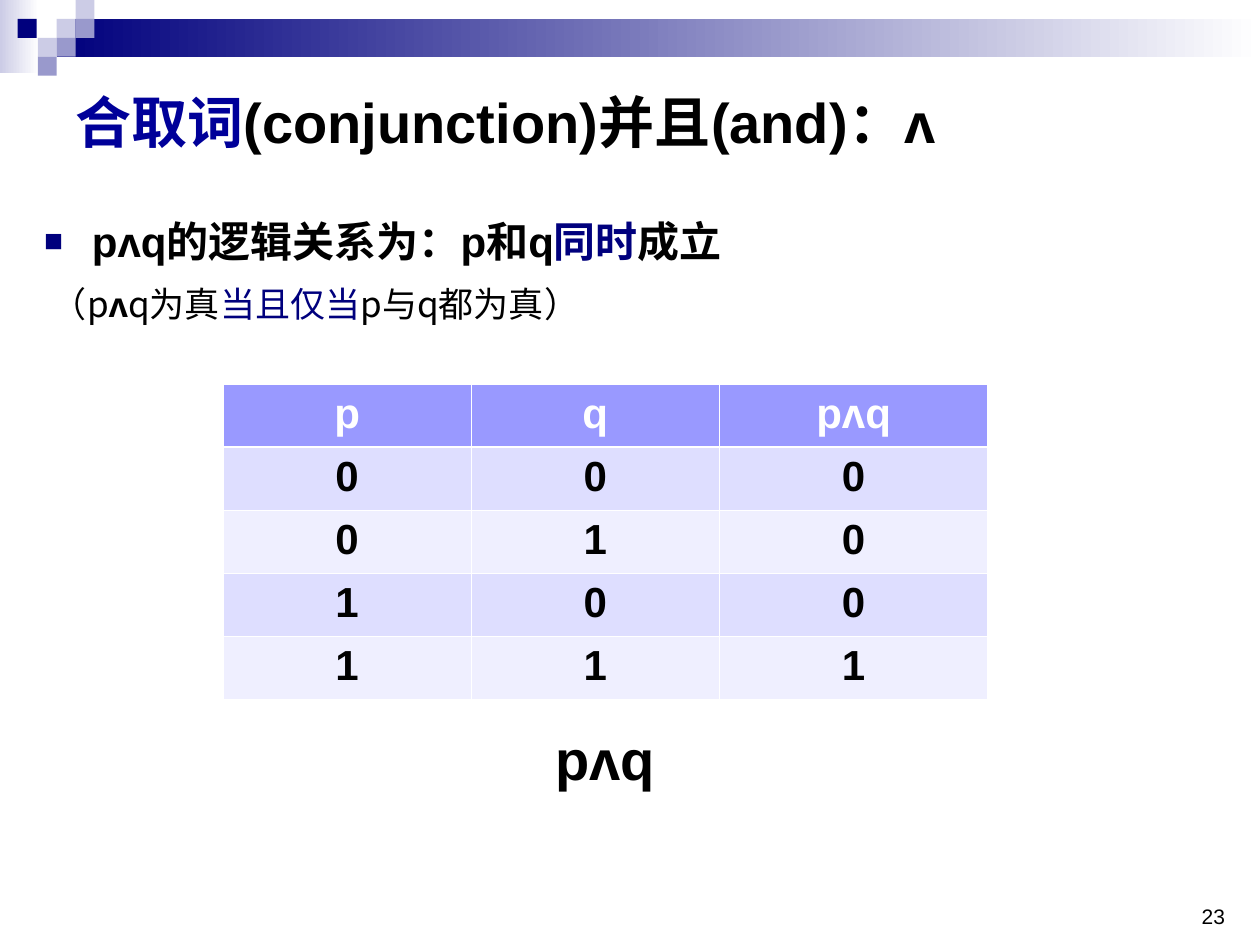
from lxml.etree import SubElement
from pptx import Presentation
from pptx.dml.color import RGBColor
from pptx.enum.shapes import MSO_SHAPE
from pptx.enum.text import MSO_ANCHOR, MSO_AUTO_SIZE, PP_ALIGN
from pptx.oxml.ns import qn
from pptx.util import Inches, Pt

COLORS = {
    "navy": "00007D", "blue": "000099", "black": "000000", "white": "FFFFFF",
    "pale": "CCCCE6", "mid": "9999CC",
    "head": "9999FF", "odd": "DEDEFF", "even": "EFEFFF",
}
LATIN, CJK = "Arial", "Noto Sans CJK SC"
TITLE = [("合取词", "blue"), ("(conjunction)并且(and)：ʌ", "black")]
RELATION = [("pʌq的逻辑关系为：p和q", "black"), ("同时", "navy"), ("成立", "black")]
CONDITION = [
    (" （p", "black", CJK), ("ʌ", "black", LATIN), ("q为真", "black", CJK),
    ("当且仅当", "navy", CJK), ("p与q都为真）", "black", CJK),
]
TRUTH = [("p", "q", "pʌq"), "000", "010", "100", "111"]
COLUMN_WIDTHS = [1.97, 1.97, 2.13]
ROW_HEIGHT = 0.5
BANDS = [
    ((0, 0, 0.31, 0.58), ("pale", "white")),
    ((0.45, 0.15, 9.55, 0.3), ("navy", "white")),
]
TILE = 0.15
TILES = [
    (0.45, 0.15, "pale"), (0.6, 0, "pale"), (0.6, 0.15, "mid"), (0.3, 0.3, "pale"),
    (0.14, 0.15, "navy"), (0.45, 0.3, "mid"), (0.3, 0.45, "mid"),
]
FRAME = {
    "auto_size": MSO_AUTO_SIZE.NONE, "word_wrap": True,
    "margin_left": Inches(0.1), "margin_right": Inches(0.1),
    "margin_top": Inches(0.05), "margin_bottom": Inches(0.05),
}


def rgb(color):
    return RGBColor.from_string(COLORS[color])


def apply(target, formats):
    for name, value in formats.items():
        setattr(target, name, value)


def place(shape, left, top, width, height):
    apply(shape, {"left": Inches(left), "top": Inches(top),
                  "width": Inches(width), "height": Inches(height)})


def write(paragraph, words, size, bold=True, align=PP_ALIGN.LEFT):
    paragraph.alignment = align
    for text, color, *face in words:
        run = paragraph.add_run()
        run.text = text
        font = face[0] if face else LATIN
        apply(run.font, {"size": Pt(size), "name": font,
                         "bold": bold and font == LATIN})
        run.font.color.rgb = rgb(color)
        SubElement(run.font._element, qn("a:ea"), typeface=CJK)


def set_list_style(paragraph, bulleted):
    properties = paragraph._p.get_or_add_pPr()
    properties.set("marL", str(Inches(0.38)))
    properties.set("indent", str(-Inches(0.38)))
    if not bulleted:
        SubElement(properties, qn("a:buNone"))
        return
    tint = SubElement(properties, qn("a:buClr"))
    SubElement(tint, qn("a:srgbClr"), val=COLORS["navy"])
    SubElement(properties, qn("a:buSzPct"), val="75000")
    SubElement(properties, qn("a:buFont"), typeface=LATIN)
    SubElement(properties, qn("a:buChar"), char="■")


def add_box(slide, shape_kind, area):
    box = slide.shapes.add_shape(shape_kind, *map(Inches, area))
    box.shadow.inherit = False
    box.line.fill.background()
    return box


def add_header(slide):
    for area, ends in BANDS:
        band = add_box(slide, MSO_SHAPE.RECTANGLE, area)
        band.fill.gradient()
        band.fill.gradient_angle = 0
        for stop, color, position in zip(band.fill.gradient_stops, ends, (0, 1)):
            stop.color.rgb = rgb(color)
            stop.position = position
    for left, top, color in TILES:
        tile = add_box(slide, MSO_SHAPE.RECTANGLE, (left, top, TILE, TILE))
        tile.fill.solid()
        tile.fill.fore_color.rgb = rgb(color)


def add_label(slide, text, area, size, bold, align, anchor):
    label = slide.shapes.add_textbox(*map(Inches, area)).text_frame
    apply(label, {**FRAME, "vertical_anchor": anchor})
    write(label.paragraphs[0], [(text, "black")], size, bold, align)


def set_borders(cell, row):
    thick = {0: "lnB", 1: "lnT"}.get(row)
    properties = cell._tc.get_or_add_tcPr()
    for index, side in enumerate(("lnL", "lnR", "lnT", "lnB")):
        width = Pt(1.47 if side == thick else 0.45)
        line = SubElement(properties, qn(f"a:{side}"), w=str(width))
        fill = SubElement(line, qn("a:solidFill"))
        SubElement(fill, qn("a:srgbClr"), val=COLORS["white"])
        properties.insert(index, line)


def add_truth_table(slide):
    table = slide.shapes.add_table(
        len(TRUTH), len(COLUMN_WIDTHS), Inches(1.77), Inches(3.05),
        Inches(sum(COLUMN_WIDTHS)), Inches(ROW_HEIGHT * len(TRUTH))).table
    for column, width in zip(table.columns, COLUMN_WIDTHS):
        column.width = Inches(width)
    for row, values in enumerate(TRUTH):
        table.rows[row].height = Inches(ROW_HEIGHT)
        band = "head" if row == 0 else ("even", "odd")[row % 2]
        for column, value in enumerate(values):
            cell = table.cell(row, column)
            cell.fill.solid()
            cell.fill.fore_color.rgb = rgb(band)
            set_borders(cell, row)
            color = "black" if row else "white"
            write(cell.text_frame.paragraphs[0], [(value, color)], 24,
                  align=PP_ALIGN.CENTER)


def main():
    """Build the slide on the logical conjunction and its truth table."""
    deck = Presentation()
    apply(deck, {"slide_width": Inches(10), "slide_height": Inches(7.5)})
    slide = deck.slides.add_slide(deck.slide_layouts[1])
    title, body = slide.placeholders[0], slide.placeholders[1]
    add_header(slide)

    place(title, 0.5, 0.5, 9, 0.92)
    apply(title.text_frame, {**FRAME, "vertical_anchor": MSO_ANCHOR.MIDDLE})
    write(title.text_frame.paragraphs[0], TITLE, 32)

    place(body, 0.25, 1.58, 9.5, 4.92)
    apply(body.text_frame, {**FRAME, "vertical_anchor": MSO_ANCHOR.TOP})
    relation = body.text_frame.paragraphs[0]
    condition = body.text_frame.add_paragraph()
    for paragraph, words, size, before in (
            (relation, RELATION, 24, 0), (condition, CONDITION, 20, 5)):
        set_list_style(paragraph, paragraph is relation)
        apply(paragraph, {"line_spacing": 1.2, "space_before": Pt(before)})
        write(paragraph, words, size)

    add_label(slide, "23", (9.42, 7.17, 0.42, 0.25), 12, False,
              PP_ALIGN.CENTER, MSO_ANCHOR.BOTTOM)
    add_truth_table(slide)
    add_label(slide, "pʌq", (4.31, 5.7, 1, 0.64), 32, True,
              PP_ALIGN.LEFT, MSO_ANCHOR.TOP)
    deck.save("out.pptx")


if __name__ == "__main__":
    main()
